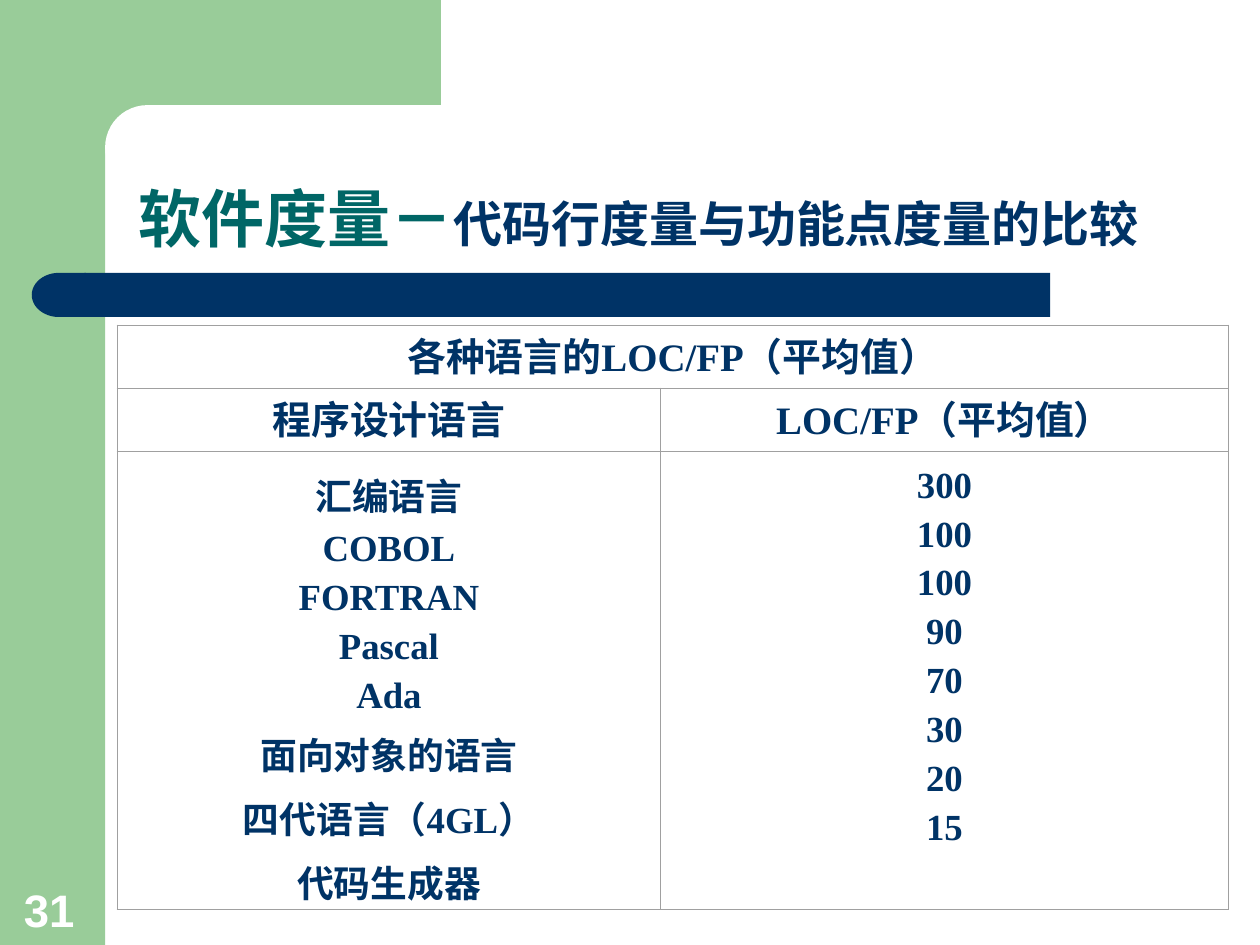
from lxml.etree import SubElement
from pptx import Presentation
from pptx.dml.color import RGBColor
from pptx.enum.shapes import MSO_SHAPE as Shape
from pptx.enum.text import MSO_ANCHOR as Anchor, MSO_AUTO_SIZE as AutoSize, PP_ALIGN as Align
from pptx.oxml.ns import qn
from pptx.util import Cm, Pt

GREEN, NAVY, TEAL, WHITE, GREY = "99CC99", "003366", "006666", "FFFFFF", "A0A0A0"
SERIF, SANS, CJK = "Times New Roman", "Arial", "Noto Sans CJK SC"

LANGUAGES = [
    ("汇编语言", "300"),
    ("COBOL", "100"),
    ("FORTRAN", "100"),
    ("Pascal", "90"),
    ("Ada", "70"),
    ("面向对象的语言", "30"),
    ("四代语言（4GL）", "20"),
    ("代码生成器", "15"),
]


def color(hex_code):
    return RGBColor.from_string(hex_code)


class SlideBuilder:
    def __init__(self, slide):
        self.slide = slide

    def style(self, font, size, hex_code, name):
        font.size, font.bold, font.name = Pt(size), True, name
        font.color.rgb = color(hex_code)

    def block(self, kind, left, top, width, height, fill):
        shape = self.slide.shapes.add_shape(kind, Cm(left), Cm(top), Cm(width), Cm(height))
        shape.shadow.inherit = False
        shape.fill.solid()
        shape.fill.fore_color.rgb = color(fill)
        shape.line.fill.background()
        return shape

    def title(self, left, top, width, height, parts):
        title = self.slide.shapes.title
        title.left, title.top, title.width, title.height = Cm(left), Cm(top), Cm(width), Cm(height)
        title.element.getparent().append(title.element)
        frame = title.text_frame
        frame.word_wrap, frame.auto_size = True, AutoSize.NONE
        frame.vertical_anchor = Anchor.BOTTOM
        heading = frame.paragraphs[0]
        heading.alignment, heading.line_spacing = Align.LEFT, 0.9
        for text, size, hex_code, name in parts:
            run = heading.add_run()
            run.text = text
            self.style(run.font, size, hex_code, name)
            if name == CJK:
                SubElement(run.font._element, qn("a:ea"), typeface=name)

    def page_number(self, left, top, width, height, text):
        box = self.slide.shapes.add_textbox(Cm(left), Cm(top), Cm(width), Cm(height))
        frame = box.text_frame
        frame.word_wrap, frame.vertical_anchor = True, Anchor.BOTTOM
        frame.text = text
        self.style(frame.paragraphs[0].font, 26, WHITE, SANS)

    def border(self, cell):
        properties = cell._tc.get_or_add_tcPr()
        for side in ("lnL", "lnR", "lnT", "lnB"):
            line = SubElement(properties, qn(f"a:{side}"), w=str(Pt(0.5)))
            SubElement(SubElement(line, qn("a:solidFill")), qn("a:srgbClr"), val=GREY)
        cell.fill.background()

    def cell(self, cell, lines, size, spacing):
        cell.margin_top, cell.margin_bottom = Cm(0.13), Cm(0)
        cell.vertical_anchor = Anchor.TOP
        cell.text = "\n".join(lines)
        for paragraph in cell.text_frame.paragraphs:
            paragraph.alignment, paragraph.line_spacing = Align.CENTER, spacing
            self.style(paragraph.font, size, NAVY, SERIF)

    def table(self, left, top, widths, heights):
        table = self.slide.shapes.add_table(
            len(heights), len(widths), Cm(left), Cm(top), Cm(sum(widths)), Cm(sum(heights))
        ).table
        table.first_row = table.horz_banding = False
        for column, width in zip(table.columns, widths):
            column.width = Cm(width)
        for row, height in zip(table.rows, heights):
            row.height = Cm(height)
        for cell in table.iter_cells():
            self.border(cell)
        return table


def main():
    deck = Presentation()
    deck.slide_width, deck.slide_height = Cm(25.4), Cm(19.05)
    builder = SlideBuilder(deck.slides.add_slide(deck.slide_layouts[5]))

    builder.block(Shape.RECTANGLE, 0, 0, 2.12, 19.05, GREEN)
    builder.block(Shape.RECTANGLE, 1.9, 0, 6.99, 2.96, GREEN)
    panel = builder.block(Shape.ROUNDED_RECTANGLE, 2.12, 2.12, 14.17, 1.7, WHITE)
    panel.adjustments[0] = 0.5
    builder.block(Shape.RECTANGLE, 1.7, 5.5, 19.47, 0.89, NAVY)
    bar_end = builder.block(Shape.FLOWCHART_DELAY, 0.64, 5.5, 1.09, 0.89, NAVY)
    bar_end.rotation = 180

    builder.page_number(0.23, 17.63, 1.63, 1.37, "31")
    builder.title(2.54, 2.12, 22.23, 3.18, [
        ("软件度量－", 36, TEAL, CJK),
        ("代码行度量与功能点度量的比较", 28, NAVY, SERIF),
    ])

    table = builder.table(2.36, 6.55, [10.96, 11.44], [1.27, 1.27, 9.24])
    table.cell(0, 0).merge(table.cell(0, 1))
    builder.cell(table.cell(0, 0), ["各种语言的LOC/FP（平均值）"], 22.2, 0.9)
    for column, heading in enumerate(["程序设计语言", "LOC/FP（平均值）"]):
        builder.cell(table.cell(1, column), [heading], 22.2, 0.9)
        builder.cell(table.cell(2, column), [entry[column] for entry in LANGUAGES], 21, 1.2)

    deck.save("out.pptx")


if __name__ == "__main__":
    main()
